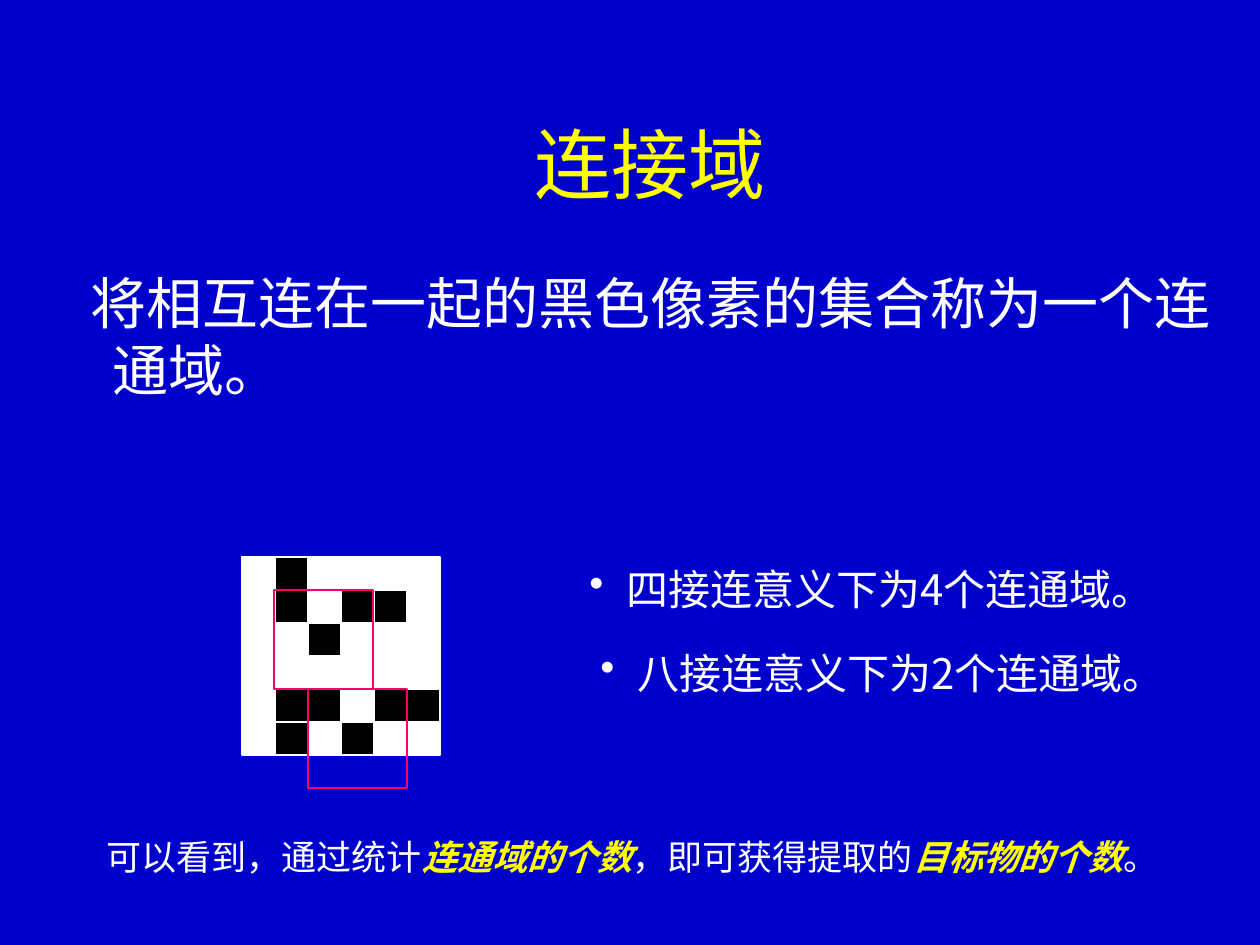
from lxml.etree import SubElement
from pptx import Presentation
from pptx.dml.color import RGBColor
from pptx.enum.shapes import MSO_SHAPE
from pptx.enum.text import MSO_ANCHOR, PP_ALIGN
from pptx.oxml.ns import qn
from pptx.util import Pt

EMU_PER_PX = 914400 / 126
BLUE = RGBColor(0x00, 0x00, 0xCC)
YELLOW = RGBColor(0xFF, 0xFF, 0x00)
WHITE = RGBColor(0xFF, 0xFF, 0xFF)
BLACK = RGBColor(0x00, 0x00, 0x00)
PINK = RGBColor(0xFF, 0x00, 0x66)
SANS, SERIF = "Noto Sans CJK SC", "Times New Roman"


def px(n):
    return round(n * EMU_PER_PX)


class Deck:
    def __init__(self, width, height):
        self.prs = Presentation()
        self.prs.slide_width, self.prs.slide_height = px(width), px(height)

    def add_slide(self, color):
        self.s = self.prs.slides.add_slide(self.prs.slide_layouts[6])
        fill = self.s.background.fill
        fill.solid()
        fill.fore_color.rgb = color

    def rect(self, x, y, w, h, line, fill=None, parent=None):
        shapes = (parent or self.s).shapes
        sp = shapes.add_shape(MSO_SHAPE.RECTANGLE, px(x), px(y), px(w), px(h))
        sp.shadow.inherit = False
        if fill is None:
            sp.fill.background()
        else:
            sp.fill.solid()
            sp.fill.fore_color.rgb = fill
        sp.line.color.rgb = line
        sp.line.width = Pt(0.75)

    def text(self, x, y, w, h, runs, size, font=SANS, margin=0, indent=0,
             bullet=None, frame=None, para=None):
        tf = self.s.shapes.add_textbox(px(x), px(y), px(w), px(h)).text_frame
        tf.word_wrap = True
        p = tf.paragraphs[0]
        for obj, values in ((tf, frame or {}), (p, para or {})):
            for name, value in values.items():
                setattr(obj, name, value)
        pPr = p._p.get_or_add_pPr()
        pPr.set("marL", str(px(margin)))
        pPr.set("indent", str(px(indent)))
        if bullet:
            SubElement(pPr, qn("a:buChar")).set("char", bullet)
        for text, style in runs:
            r = p.add_run()
            r.text = text
            style = {"name": font, "size": Pt(size), "color": WHITE} | style
            r.font.color.rgb = style.pop("color")
            for name, value in style.items():
                setattr(r.font, name, value)
            SubElement(r._r.get_or_add_rPr(), qn("a:ea")).set("typeface", SANS)

    def pixel_grid(self, x, y, cell, rows):
        group = self.s.shapes.add_group_shape()
        for i, row in enumerate(rows):
            for j, mark in enumerate(row):
                self.rect(x + j * cell, y + i * cell, cell, cell, WHITE,
                          BLACK if mark == "#" else WHITE, group)


def main():
    deck = Deck(1260, 945)
    deck.add_slide(BLUE)

    # Title and definition
    deck.text(161, 84, 978, 158, [("连接域", {"color": YELLOW})], 44,
              frame={"vertical_anchor": MSO_ANCHOR.MIDDLE},
              para={"alignment": PP_ALIGN.CENTER})
    deck.text(53, 262, 1175, 179,
              [("将相互连在一起的黑色像素的集合称为一个连通域。", {})], 32,
              margin=47, indent=-22)

    # Binary pixels with two 3 x 3 windows
    cell = 33
    deck.pixel_grid(242, 557, cell, [".#....",
                                     ".#.##.",
                                     "..#...",
                                     "......",
                                     ".##.##",
                                     ".#.#.."])
    for x, y in ((274, 590), (308, 689)):
        deck.rect(x, y, 3 * cell, 3 * cell, PINK)

    # Component counts
    for x, y, text in ((577, 557, "四接连意义下为4个连通域。"),
                       (588, 641, "八接连意义下为2个连通域。")):
        deck.text(x, y, 620, 63, [(text, {})], 24, margin=37, indent=-37,
                  bullet="•")

    # Conclusion
    key = {"color": YELLOW, "bold": True, "italic": True}
    deck.text(94, 829, 1092, 55,
              [("可以看到，通过统计", {}), ("连通域的个数", key),
               ("，即可获得提取的", {}), ("目标物的个数", key), ("。", {})],
              20, font=SERIF)

    deck.prs.save("out.pptx")


if __name__ == "__main__":
    main()
